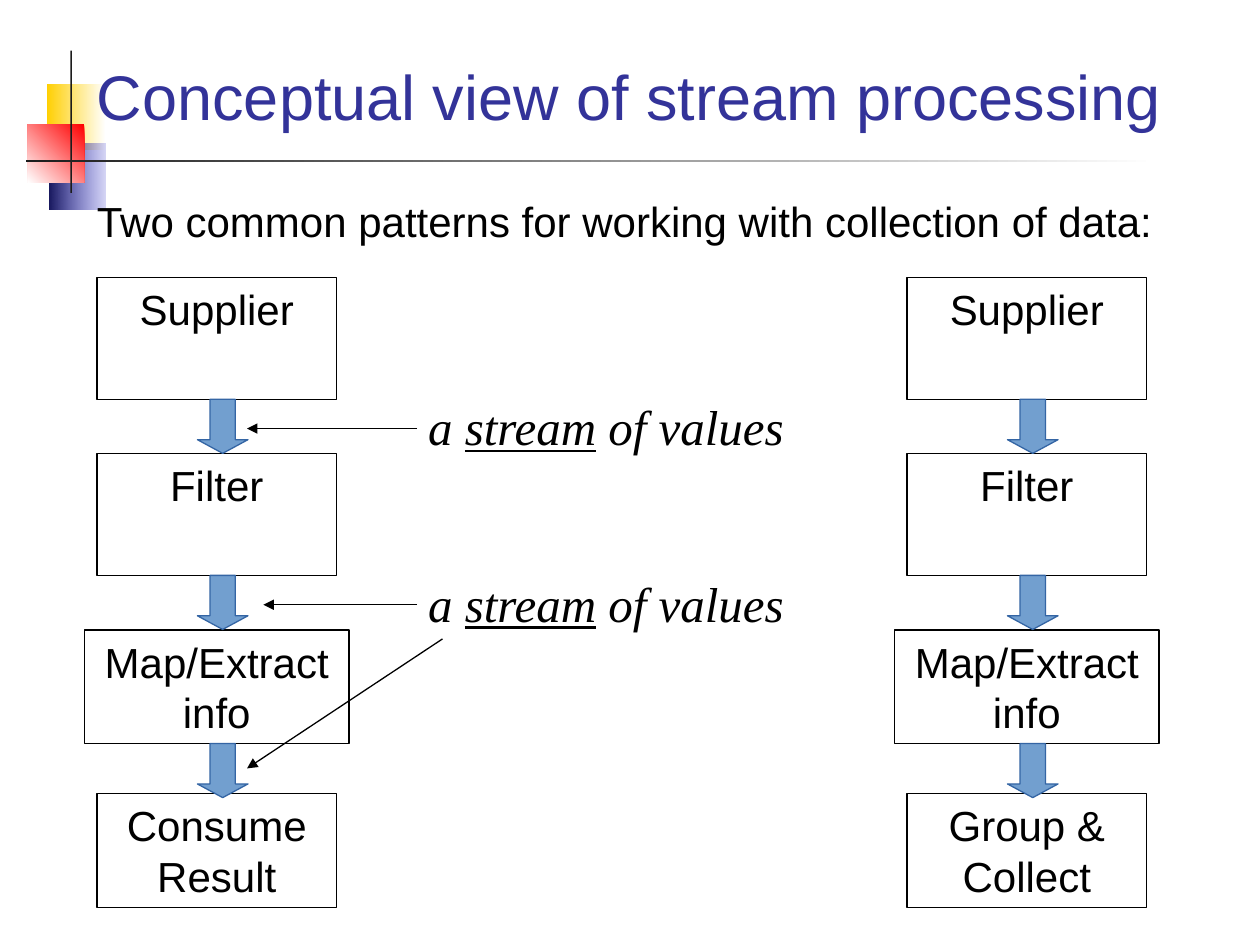
from dataclasses import dataclass

from lxml.etree import SubElement
from pptx import Presentation
from pptx.dml.color import RGBColor
from pptx.enum.shapes import MSO_CONNECTOR, MSO_SHAPE
from pptx.enum.text import MSO_ANCHOR, MSO_AUTO_SIZE, PP_ALIGN
from pptx.oxml.ns import qn
from pptx.util import Cm, Pt

BLACK = RGBColor(0x00, 0x00, 0x00)
WHITE = RGBColor(0xFF, 0xFF, 0xFF)
CHARCOAL = RGBColor(0x1C, 0x1C, 0x1C)
YELLOW = RGBColor(0xFF, 0xCF, 0x01)
RED = RGBColor(0xFF, 0x00, 0x00)
BLUE = RGBColor(0x33, 0x33, 0xCC)
NAVY = RGBColor(0x17, 0x17, 0x5E)
TITLE_BLUE = RGBColor(0x33, 0x33, 0x99)
ARROW_FILL = RGBColor(0x72, 0x9F, 0xCF)
ARROW_LINE = RGBColor(0x34, 0x65, 0xA4)

SANS = "Arial"
SERIF = "Times New Roman"
LINE_WIDTH = Pt(0.75)
ARROW_WIDTH, ARROW_HEIGHT = 1.02, 1.09
ARROW_SHIFT = 0.12  # block arrows sit slightly right of the box centres


@dataclass
class Ornament:
    """A master decoration, in cm, shaded from start to end colour."""
    left: float
    top: float
    width: float
    height: float
    start: RGBColor
    end: RGBColor
    angle: int = 180
    start_alpha: int = 100


@dataclass
class Step:
    top: float
    width: float
    height: float


@dataclass
class Pipeline:
    center: float
    labels: tuple[str, ...]


@dataclass
class Pointer:
    start: tuple[float, float]
    end: tuple[float, float]


ORNAMENTS = [
    Ornament(0.94, 1.7, 1.19, 1.32, WHITE, YELLOW),
    Ornament(0.99, 2.9, 1.14, 1.32, BLUE, NAVY, start_alpha=20),
    Ornament(0.56, 2.51, 1.14, 1.17, RED, WHITE, angle=225),
    Ornament(1.42, 1.02, 0.03, 2.87, CHARCOAL, CHARCOAL),
    Ornament(0.53, 3.23, 22.78, 0.03, WHITE, CHARCOAL),
]
STEPS = [
    Step(5.59, 4.83, 2.46),
    Step(9.14, 4.83, 2.46),
    Step(12.7, 5.33, 2.29),
    Step(16, 4.83, 2.29),
]
SHARED_LABELS = ("Supplier", "Filter", "Map/Extract info")
PIPELINES = [
    Pipeline(4.37, SHARED_LABELS + ("Consume Result",)),
    Pipeline(20.7, SHARED_LABELS + ("Group & Collect",)),
]
STREAM_NOTE_TOPS = [7.87, 11.43]
POINTERS = [
    Pointer((8.41, 8.64), (4.98, 8.64)),
    Pointer((8.41, 12.19), (5.31, 12.19)),
    Pointer((8.92, 12.88), (4.98, 15.49)),
]


def add_preset(slide, kind, left: float, top: float, width: float, height: float):
    shape = slide.shapes.add_shape(kind, Cm(left), Cm(top), Cm(width), Cm(height))
    shape.shadow.inherit = False
    return shape


def style_font(font, name: str, size: float, color: RGBColor) -> None:
    font.name = name
    font.size = Pt(size)
    font.color.rgb = color


def add_ornament(slide, ornament: Ornament) -> None:
    shape = add_preset(slide, MSO_SHAPE.RECTANGLE, ornament.left, ornament.top,
                       ornament.width, ornament.height)
    shape.line.fill.background()
    if ornament.start == ornament.end:
        shape.fill.solid()
        shape.fill.fore_color.rgb = ornament.start
        return
    shape.fill.gradient()
    shape.fill.gradient_angle = ornament.angle
    for stop, color in zip(shape.fill.gradient_stops, (ornament.start, ornament.end)):
        stop.color.rgb = color
    if ornament.start_alpha < 100:
        first_color = next(shape._element.spPr.iter(qn("a:srgbClr")))
        SubElement(first_color, qn("a:alpha"), val=str(ornament.start_alpha * 1000))


def fill_placeholder(slide, placeholder, box: tuple[float, ...], text: str,
                     size: float, color: RGBColor, anchor: MSO_ANCHOR) -> None:
    """Place a one-line placeholder without bullet in front of the ornaments."""
    placeholder.left, placeholder.top, placeholder.width, placeholder.height = map(Cm, box)
    text_frame = placeholder.text_frame
    text_frame.text = text
    text_frame.auto_size = MSO_AUTO_SIZE.NONE
    text_frame.vertical_anchor = anchor
    paragraph = text_frame.paragraphs[0]
    paragraph.alignment = PP_ALIGN.LEFT
    paragraph.space_before = Pt(0)
    properties = paragraph._p.get_or_add_pPr()
    properties.set("marL", "0")
    properties.set("indent", "0")
    SubElement(properties, qn("a:buNone"))
    style_font(paragraph.runs[0].font, SANS, size, color)
    slide.shapes._spTree.append(placeholder._element)


def add_step_box(slide, center: float, step: Step, label: str) -> None:
    shape = add_preset(slide, MSO_SHAPE.RECTANGLE, center - step.width / 2,
                       step.top, step.width, step.height)
    shape.fill.background()
    shape.line.color.rgb = BLACK
    shape.line.width = LINE_WIDTH
    text_frame = shape.text_frame
    text_frame.text = label
    text_frame.word_wrap = True
    text_frame.vertical_anchor = MSO_ANCHOR.TOP
    paragraph = text_frame.paragraphs[0]
    paragraph.alignment = PP_ALIGN.CENTER
    style_font(paragraph.runs[0].font, SANS, 24, BLACK)


def add_flow_arrow(slide, center: float, top: float) -> None:
    shape = add_preset(slide, MSO_SHAPE.DOWN_ARROW, center - ARROW_WIDTH / 2, top,
                       ARROW_WIDTH, ARROW_HEIGHT)
    shape.adjustments[0] = 0.5
    shape.adjustments[1] = 0.27
    shape.fill.solid()
    shape.fill.fore_color.rgb = ARROW_FILL
    shape.line.color.rgb = ARROW_LINE
    shape.line.width = LINE_WIDTH


def add_pipeline(slide, pipeline: Pipeline) -> None:
    for step, label in zip(STEPS, pipeline.labels):
        add_step_box(slide, pipeline.center, step, label)
    for step in STEPS[:-1]:
        add_flow_arrow(slide, pipeline.center + ARROW_SHIFT, step.top + step.height)


def add_stream_note(slide, top: float) -> None:
    text_box = slide.shapes.add_textbox(Cm(8.38), Cm(top), Cm(8.13), Cm(1.45))
    text_box.text_frame.word_wrap = True
    paragraph = text_box.text_frame.paragraphs[0]
    for text in ("a ", "stream", " of values"):
        run = paragraph.add_run()
        run.text = text
        style_font(run.font, SERIF, 28, BLACK)
        run.font.italic = True
        run.font.underline = text == "stream"


def add_pointer(slide, pointer: Pointer) -> None:
    connector = slide.shapes.add_connector(
        MSO_CONNECTOR.STRAIGHT, *map(Cm, pointer.start + pointer.end))
    connector.line.color.rgb = BLACK
    connector.line.width = LINE_WIDTH
    SubElement(connector.line._get_or_add_ln(), qn("a:tailEnd"), type="triangle")
    SubElement(connector._element.spPr, qn("a:effectLst"))


def main() -> None:
    presentation = Presentation()
    presentation.slide_width, presentation.slide_height = Cm(25.4), Cm(19.05)
    slide = presentation.slides.add_slide(presentation.slide_layouts[1])
    title, body = slide.shapes.title, slide.placeholders[1]
    for ornament in ORNAMENTS:
        add_ornament(slide, ornament)
    fill_placeholder(slide, title, (1.7, 0.71, 22, 2.41),
                     "Conceptual view of stream processing",
                     36, TITLE_BLUE, MSO_ANCHOR.MIDDLE)
    fill_placeholder(slide, body, (1.7, 3.81, 22.94, 1.78),
                     "Two common patterns for working with collection of data:",
                     24, BLACK, MSO_ANCHOR.TOP)
    for pipeline in PIPELINES:
        add_pipeline(slide, pipeline)
    for top in STREAM_NOTE_TOPS:
        add_stream_note(slide, top)
    for pointer in POINTERS:
        add_pointer(slide, pointer)
    presentation.save("out.pptx")


if __name__ == "__main__":
    main()
